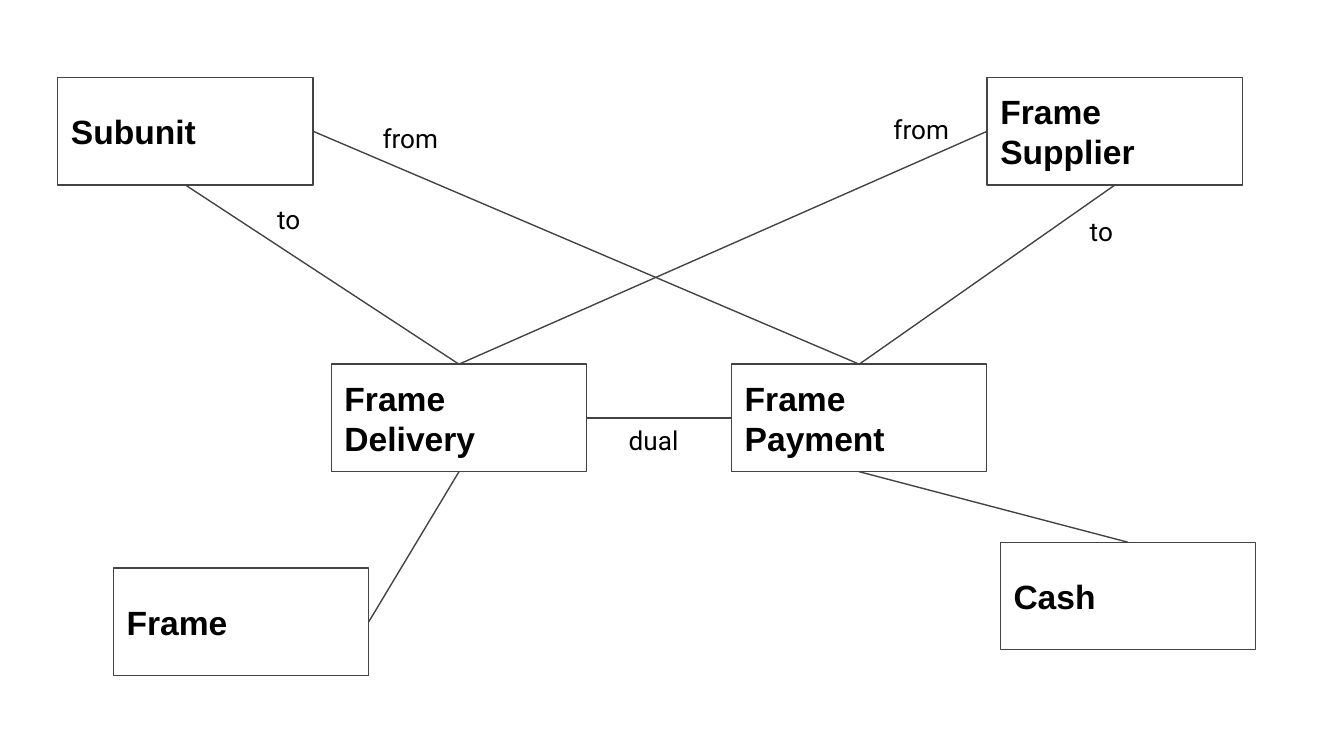
from typing import NamedTuple

from lxml import etree
from pptx import Presentation
from pptx import util as u
from pptx.dml.color import RGBColor
from pptx.enum import shapes, text
from pptx.oxml.ns import qn

SLIDE_WIDTH = u.Inches(10)
SLIDE_HEIGHT = SLIDE_WIDTH * 9 // 16
COLUMN = SLIDE_WIDTH / 100
ROW = SLIDE_HEIGHT / 56.25
ENTITY_COLUMNS, ENTITY_ROWS = 19, 8
LABEL_COLUMNS, LABEL_ROWS = 6.7, 4.4
TOP, LEFT, BOTTOM, RIGHT = range(4)
INK, OUTLINE = "000000", "434343"


class Entity(NamedTuple):
    name: str
    column: float
    row: float


class Relation(NamedTuple):
    start: str
    start_side: int
    end: str
    end_side: int


class Label(NamedTuple):
    wording: str
    column: float
    row: float


ENTITIES = [
    Entity("Subunit", 4.3, 5.77),
    Entity("Frame Supplier", 73.45, 5.77),
    Entity("Frame Delivery", 24.65, 27.1),
    Entity("Frame Payment", 54.43, 27.1),
    Entity("Frame", 8.44, 42.27),
    Entity("Cash", 74.43, 40.35),
]
RELATIONS = [
    Relation("Frame Delivery", BOTTOM, "Frame", RIGHT),
    Relation("Frame Delivery", TOP, "Subunit", BOTTOM),
    Relation("Frame Delivery", TOP, "Frame Supplier", LEFT),
    Relation("Frame Payment", BOTTOM, "Cash", TOP),
    Relation("Frame Payment", TOP, "Frame Supplier", BOTTOM),
    Relation("Frame Payment", TOP, "Subunit", RIGHT),
    Relation("Frame Delivery", RIGHT, "Frame Payment", LEFT),
]
LABELS = [
    Label("to", 19.63, 14.1),
    Label("from", 65.5, 7.43),
    Label("from", 27.48, 8.1),
    Label("to", 80.1, 15),
    Label("dual", 45.8, 30.6),
]


def color(hex_code: str) -> RGBColor:
    return RGBColor.from_string(hex_code)


def grid_box(column: float, row: float, columns: float, rows: float) -> list[int]:
    """Turn a grid position and span into left, top, width and height."""
    return [round(n) for n in (column * COLUMN, row * ROW, columns * COLUMN, rows * ROW)]


def write(frame, wording: str, font_name: str, size: int, bold: bool = False) -> None:
    frame.word_wrap = True
    frame.margin_left = frame.margin_right = u.Inches(0.1)
    frame.margin_top = frame.margin_bottom = u.Inches(0.1)
    paragraph = frame.paragraphs[0]
    paragraph.alignment = text.PP_ALIGN.LEFT
    run = paragraph.add_run()
    run.text = wording
    run.font.name = font_name
    run.font.size = u.Pt(size)
    run.font.bold = bold
    run.font.color.rgb = color(INK)


def style_line(line) -> None:
    line.color.rgb = color(OUTLINE)
    line.width = u.Pt(0.75)


def draw_entity(slide, entity: Entity):
    rectangle = slide.shapes.add_shape(
        shapes.MSO_SHAPE.RECTANGLE,
        *grid_box(entity.column, entity.row, ENTITY_COLUMNS, ENTITY_ROWS),
    )
    rectangle.shadow.inherit = False
    rectangle.fill.background()
    style_line(rectangle.line)
    rectangle.text_frame.vertical_anchor = text.MSO_ANCHOR.MIDDLE
    write(rectangle.text_frame, entity.name, "Arial", 18, bold=True)
    return rectangle


def draw_relation(slide, relation: Relation, rectangles: dict) -> None:
    connector = slide.shapes.add_connector(shapes.MSO_CONNECTOR.STRAIGHT, 0, 0, 0, 0)
    connector.begin_connect(rectangles[relation.start], relation.start_side)
    connector.end_connect(rectangles[relation.end], relation.end_side)
    style_line(connector.line)
    etree.SubElement(connector._element.spPr, qn("a:effectLst"))


def draw_label(slide, label: Label) -> None:
    box = slide.shapes.add_textbox(
        *grid_box(label.column, label.row, LABEL_COLUMNS, LABEL_ROWS)
    )
    write(box.text_frame, label.wording, "Roboto", 14)
    box.text_frame.auto_size = text.MSO_AUTO_SIZE.SHAPE_TO_FIT_TEXT


def main() -> None:
    deck = Presentation()
    deck.slide_width, deck.slide_height = SLIDE_WIDTH, SLIDE_HEIGHT
    slide = deck.slides.add_slide(deck.slide_layouts[6])
    slide.background.fill.solid()
    slide.background.fill.fore_color.rgb = color("FFFFFF")

    rectangles = {entity.name: draw_entity(slide, entity) for entity in ENTITIES}
    for relation in RELATIONS:
        draw_relation(slide, relation, rectangles)
    for label in LABELS:
        draw_label(slide, label)
    deck.save("out.pptx")


if __name__ == "__main__":
    main()
